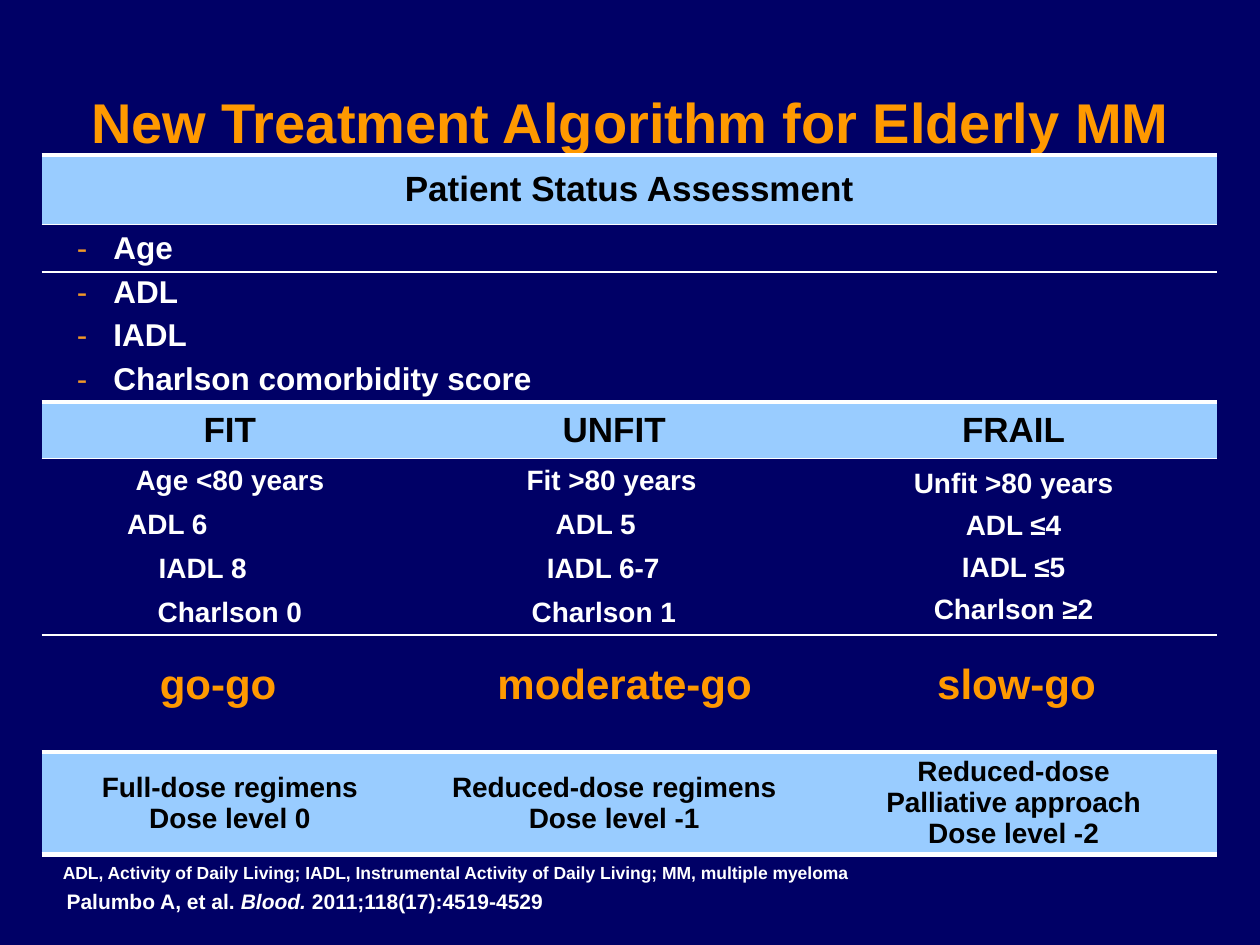
from lxml.etree import SubElement
from pptx import Presentation
from pptx.dml.color import RGBColor
from pptx.enum.text import MSO_ANCHOR as Anchor, PP_ALIGN as Align
from pptx.oxml.ns import qn
from pptx.util import Inches, Pt

NAVY, WHITE, BLACK = "000066", "FFFFFF", "000000"
SKY, ORANGE, AMBER = "99CCFF", "FF9900", "F09828"
NO_STYLE = "{2D5ABB26-0587-4C30-8999-92F81FD0307C}"


def color(value):
    return RGBColor.from_string(value)


def add_color(parent, value):
    SubElement(SubElement(parent, qn("a:solidFill")), qn("a:srgbClr"), val=value)


class SlideBuilder:
    """Holds the shared text style and the slide being built."""

    def __init__(self, deck, font="Arial"):
        self.font = font
        self.page = deck.slides.add_slide(deck.slide_layouts[5])
        fill = self.page.background.fill
        fill.solid()
        fill.fore_color.rgb = color(NAVY)

    def style(self, para, size, shade, align=Align.LEFT):
        para.alignment = align
        font = para.font
        font.name, font.size, font.bold = self.font, Pt(size), True
        font.color.rgb = color(shade)

    def place(self, shape, left, top, width, height):
        shape.left, shape.top = Inches(left), Inches(top)
        shape.width, shape.height = Inches(width), Inches(height)

    def title(self, text, *area):
        box = self.page.shapes.title
        self.place(box, *area)
        box.text_frame.word_wrap = True
        box.text_frame.vertical_anchor = Anchor.TOP
        para = box.text_frame.paragraphs[0]
        para.text, para.line_spacing = text, 1.2
        self.style(para, 32, ORANGE, Align.CENTER)

    def text(self, spans, size, shade, *area, tabs=(), spacing=1.0):
        box = self.page.shapes.add_textbox(*map(Inches, area))
        box.text_frame.word_wrap = True
        para = box.text_frame.paragraphs[0]
        para.line_spacing = spacing
        if tabs:
            stops = SubElement(para._p.get_or_add_pPr(), qn("a:tabLst"))
            for stop in tabs:
                SubElement(stops, qn("a:tab"), pos=str(Inches(stop)), algn="l")
        self.style(para, size, shade)
        for words, italic in spans:
            span = para.add_run()
            span.text = words
            if italic:
                span.font.italic = True

    def table(self, left, top, columns, rows):
        frame = self.page.shapes.add_table(
            len(rows), len(columns), Inches(left), Inches(top),
            Inches(sum(columns)), Inches(sum(rows)))
        grid = frame.table
        grid._tbl.tblPr.find(qn("a:tableStyleId")).text = NO_STYLE
        for column, width in zip(grid.columns, columns):
            column.width = Inches(width)
        for row, height in zip(grid.rows, rows):
            row.height = Inches(height)
        return grid

    def frame_cell(self, cell, fill, above, below):
        cell.margin_left = cell.margin_right = 0
        cell.margin_top = cell.margin_bottom = 0
        cell.vertical_anchor = Anchor.MIDDLE
        props = cell._tc.get_or_add_tcPr()
        for side, width in (("a:lnT", above), ("a:lnB", below)):
            if width:
                add_color(SubElement(props, qn(side), w=str(Pt(width))), WHITE)
        if fill:
            cell.fill.solid()
            cell.fill.fore_color.rgb = color(fill)
        else:
            cell.fill.background()

    def cell_lines(self, cell, lines, size, shade, gap=0):
        for index, (words, indent) in enumerate(lines):
            frame = cell.text_frame
            para = frame.add_paragraph() if index else frame.paragraphs[0]
            para.text = words
            if index:
                para.space_before = Pt(gap)
            if indent:
                para._p.get_or_add_pPr().set("marL", str(Inches(indent)))
            self.style(para, size, shade, Align.LEFT if indent else Align.CENTER)

    def dash_item(self, cell, words):
        para = cell.text_frame.paragraphs[0]
        para.text = words
        props = para._p.get_or_add_pPr()
        props.set("marL", str(Inches(0.57)))
        props.set("indent", str(Inches(-0.29)))
        SubElement(SubElement(props, qn("a:buClr")), qn("a:srgbClr"), val=AMBER)
        SubElement(props, qn("a:buFont"), typeface=self.font)
        SubElement(props, qn("a:buChar"), char="-")
        self.style(para, 18, WHITE)


def main():
    deck = Presentation()
    deck.slide_width, deck.slide_height = Inches(10), Inches(7.5)
    slide = SlideBuilder(deck)
    slide.title("New Treatment Algorithm for Elderly MM", 0.24, 0.54, 9.53, 0.75)

    heights = [0.55, 0.38, 0.33, 0.35, 0.35, 0.45, 1.4, 0.93, 0.81]
    grid = slide.table(0.33, 1.23, [2.99, 3.11, 3.23], heights)
    rules = [3, 1, 0, 0, 0, 3, 1, 1, 3, 3]
    header, groups, criteria, pace, doses = 0, 5, 6, 7, 8
    for row in range(len(heights)):
        fill = SKY if row in (header, groups, doses) else None
        for column in range(3):
            slide.frame_cell(grid.cell(row, column), fill, rules[row], rules[row + 1])
    for row in (header, 1, 2, 3, 4, pace):
        grid.cell(row, 0).merge(grid.cell(row, 2))

    slide.cell_lines(grid.cell(header, 0), [("Patient Status Assessment", 0)], 20, BLACK)
    factors = ["Age", "ADL", "IADL", "Charlson comorbidity score"]
    for row, factor in enumerate(factors, 1):
        slide.dash_item(grid.cell(row, 0), factor)

    statuses = [
        ("FIT", 7.4,
         [("Age <80 years", 0), ("ADL 6", 0.68), ("IADL 8", 0.93), ("Charlson 0", 0)],
         ["Full-dose regimens", "Dose level 0"]),
        ("UNFIT", 7.4,
         [("Fit >80 years", 0.86), ("ADL 5", 1.09), ("IADL 6-7", 1.02), ("Charlson 1", 0.9)],
         ["Reduced-dose regimens", "Dose level -1"]),
        ("FRAIL", 6.2,
         [("Unfit >80 years", 0), ("ADL ≤4", 0), ("IADL ≤5", 0), ("Charlson ≥2", 0)],
         ["Reduced-dose", "Palliative approach", "Dose level -2"]),
    ]
    for column, (name, gap, limits, regimen) in enumerate(statuses):
        slide.cell_lines(grid.cell(groups, column), [(name, 0)], 20, BLACK)
        slide.cell_lines(grid.cell(criteria, column), limits, 16, WHITE, gap)
        slide.cell_lines(grid.cell(doses, column), [(line, 0) for line in regimen], 16, BLACK)

    slide.text([("\tgo-go\tmoderate-go\tslow-go", False)], 24, ORANGE,
               0.24, 5.09, 9.53, 0.59, tabs=(0.93, 3.61, 7.1), spacing=1.2)
    slide.text([("ADL, Activity of Daily Living; IADL, Instrumental Activity of "
                 "Daily Living; MM, multiple myeloma", False)], 10, WHITE,
               0.4, 6.79, 9.17, 0.27)
    slide.text([("Palumbo A, et al. ", False), ("Blood. ", True),
                ("2011;118(17):4519-4529", False)], 12, WHITE, 0.43, 7, 9.01, 0.3)
    deck.save("out.pptx")


if __name__ == "__main__":
    main()
